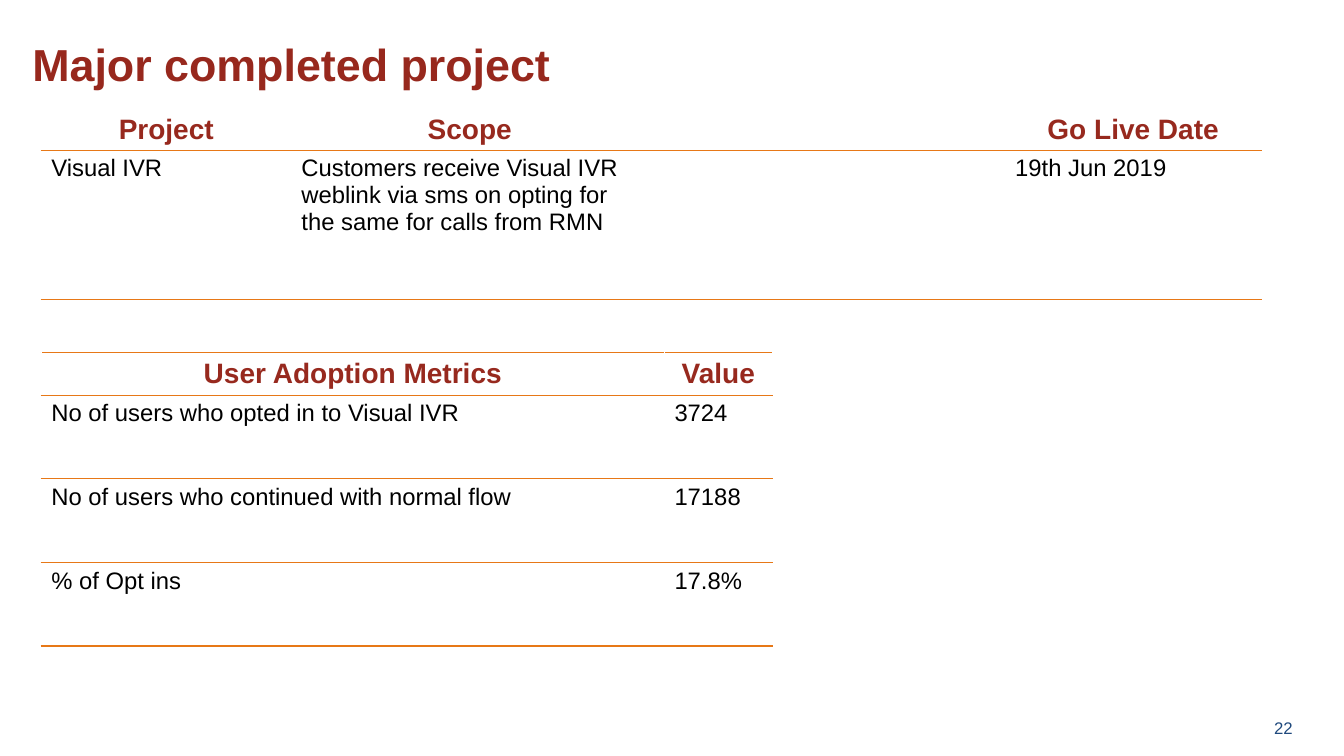
from dataclasses import dataclass

from lxml.etree import SubElement
from pptx import Presentation
from pptx.dml.color import RGBColor
from pptx.enum.text import MSO_ANCHOR, PP_ALIGN as Align
from pptx.oxml.ns import qn
from pptx.util import Inches, Pt


@dataclass(frozen=True)
class Theme:
    """Colours, font and type sizes of the deck."""
    font: str = "Arial"
    title: str = "97281D"
    header: str = "97291E"
    body: str = "000000"
    number: str = "1F497D"
    rule: str = "E77817"
    paper: str = "FFFFFF"
    title_size: int = 32
    header_size: int = 20
    body_size: int = 17
    number_size: int = 12


THEME = Theme()


def format_paragraph(p, size, color, bold=False, align=Align.LEFT):
    """Set the font and alignment of a paragraph."""
    p.alignment = align
    p.font.name, p.font.size, p.font.bold = THEME.font, Pt(size), bold
    p.font.color.rgb = RGBColor.from_string(color)


def add_border(cell, side, color):
    """Draw a one-point border on one side (L, R, T or B) of a cell."""
    ln = SubElement(cell._tc.get_or_add_tcPr(), qn(f"a:ln{side}"), w=str(Pt(1)))
    fill = SubElement(ln, qn("a:solidFill"))
    SubElement(fill, qn("a:srgbClr"), val=color)


def add_title(slide, box, text):
    """Place and format the title placeholder."""
    sp = slide.shapes.title
    sp.left, sp.top, sp.width, sp.height = map(Inches, box)
    tf = sp.text_frame
    tf.text = text
    tf.vertical_anchor = MSO_ANCHOR.TOP
    tf.margin_top = Inches(0.1)
    format_paragraph(tf.paragraphs[0], THEME.title_size, THEME.title, bold=True)


def add_page_number(slide, box, number):
    """Add the right-aligned page number."""
    tf = slide.shapes.add_textbox(*map(Inches, box)).text_frame
    tf.word_wrap = True
    tf.vertical_anchor = MSO_ANCHOR.MIDDLE
    tf.text = str(number)
    format_paragraph(tf.paragraphs[0], THEME.number_size, THEME.number, align=Align.RIGHT)


def add_ruled_table(slide, box, widths, heights, rows, top_rule, left_columns=()):
    """Add a table with a bold header row and horizontal rules."""
    table = slide.shapes.add_table(len(rows), len(widths), *map(Inches, box)).table
    table.first_row = table.horz_banding = False
    for column, width in zip(table.columns, widths):
        column.width = Inches(width)
    for row, height in zip(table.rows, heights):
        row.height = Inches(height)
    for i, texts in enumerate(rows):
        for j, text in enumerate(texts):
            cell = table.cell(i, j)
            top = THEME.rule if i or top_rule else THEME.paper
            for side, color in zip("LRTB", (THEME.paper, THEME.paper, top, THEME.rule)):
                add_border(cell, side, color)
            cell.fill.solid()
            cell.fill.fore_color.rgb = RGBColor.from_string(THEME.paper)
            cell.text = text
            p = cell.text_frame.paragraphs[0]
            if i == 0:
                format_paragraph(p, THEME.header_size, THEME.header, True, Align.CENTER)
            else:
                align = Align.LEFT if j in left_columns else Align.JUSTIFY
                format_paragraph(p, THEME.body_size, THEME.body, align=align)


def build_project_slide(prs):
    """Build the slide on the completed project and its adoption."""
    slide = prs.slides.add_slide(prs.slide_layouts.get_by_name("Title Only"))
    add_title(slide, (0.22, 0.26, 12.78, 0.82), "Major completed project")
    add_ruled_table(
        slide, (0.41, 1.08, 12.1, 1.88), (2.48, 3.54, 3.54, 2.54), (0.4, 1.48),
        [("Project", "Scope", "", "Go Live Date"),
         ("Visual IVR",
          "Customers receive Visual IVR weblink via sms on opting for "
          "the same for calls from RMN",
          "", "19th Jun 2019")],
        top_rule=False, left_columns=(1,))
    add_ruled_table(
        slide, (0.41, 3.5, 7.25, 2.91), (6.18, 1.07), (0.42,) + (0.83,) * 3,
        [("User Adoption Metrics", "Value"),
         ("No of users who opted in to Visual IVR", "3724"),
         ("No of users who continued with normal flow", "17188"),
         ("% of Opt ins", "17.8%")],
        top_rule=True)
    add_page_number(slide, (12.25, 7.02, 0.67, 0.4), 22)


prs = Presentation()
prs.slide_width, prs.slide_height = Inches(13.33), Inches(7.5)
build_project_slide(prs)
prs.save("out.pptx")
